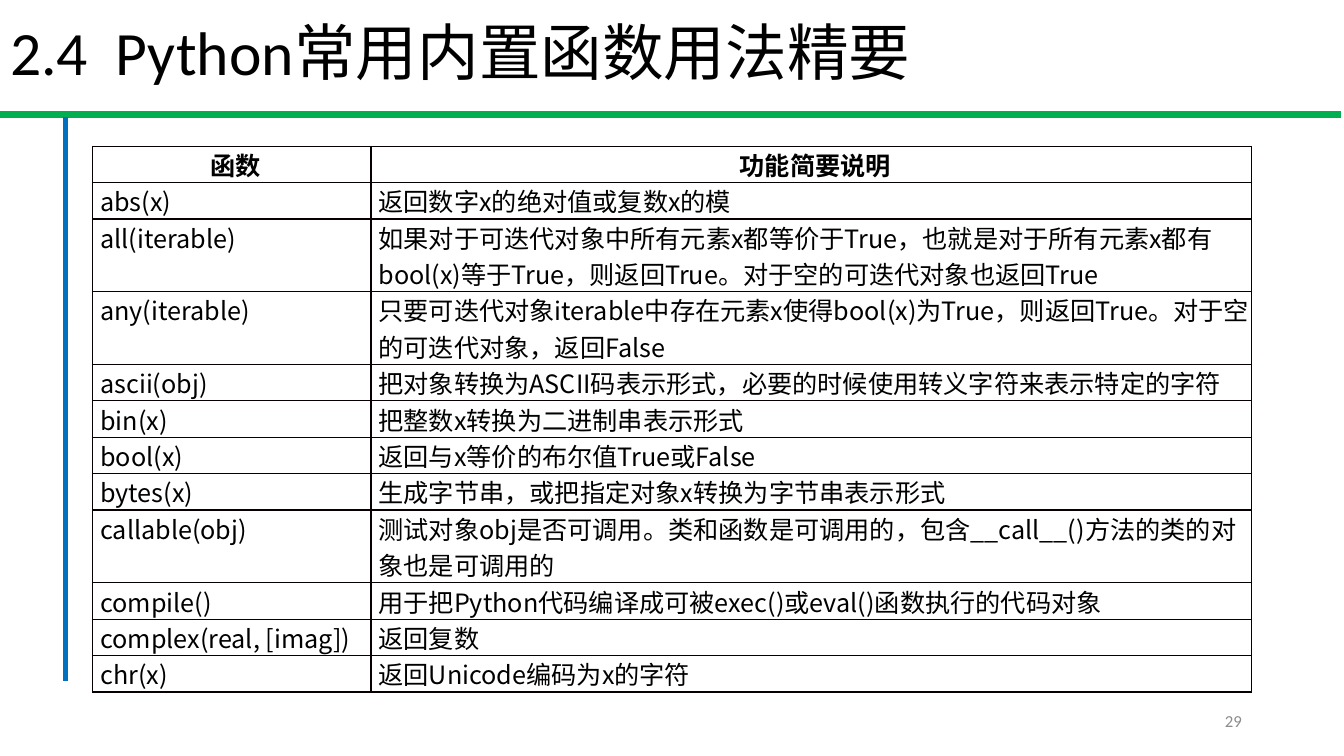
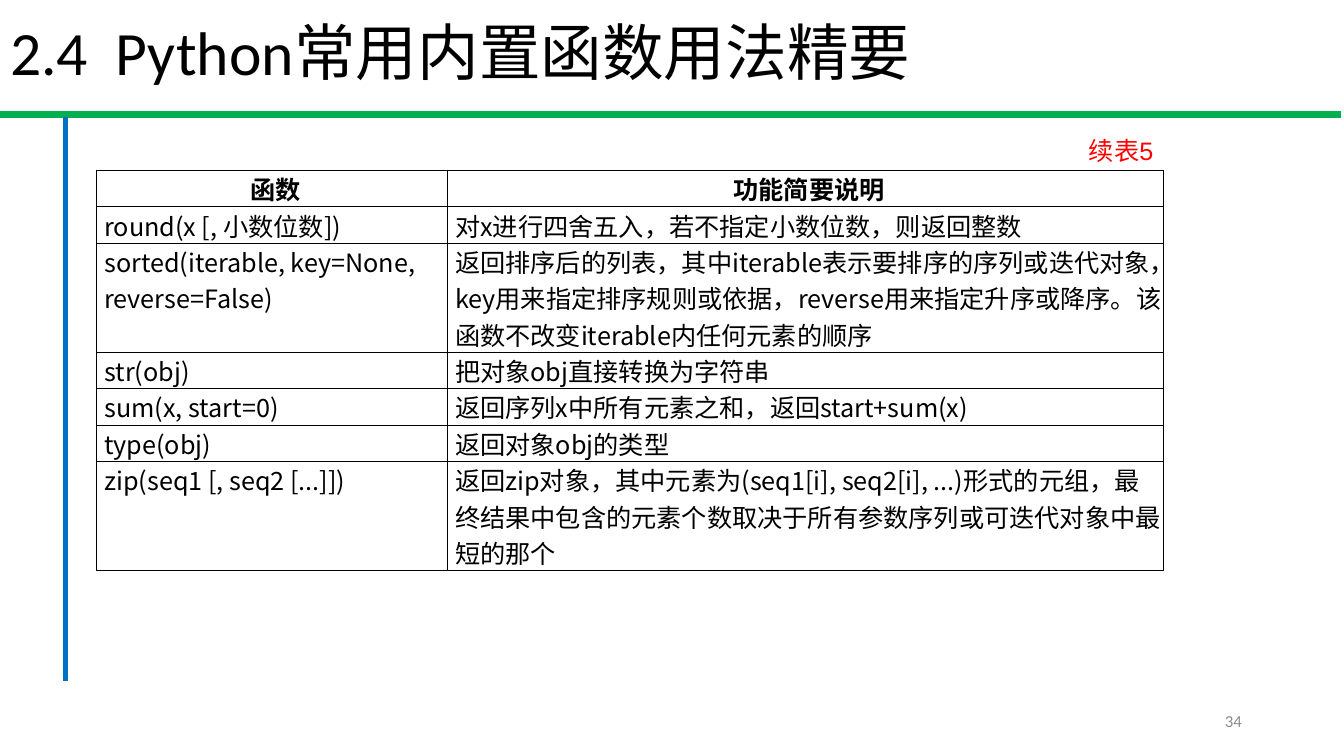
from dataclasses import dataclass
from typing import NamedTuple

from lxml.etree import SubElement
from pptx import Presentation
from pptx.dml.color import RGBColor as Rgb
from pptx.enum.shapes import MSO_CONNECTOR as Link
from pptx.enum.text import MSO_ANCHOR as Anchor, MSO_AUTO_SIZE as Fit, PP_ALIGN as Align
from pptx.oxml import parse_xml
from pptx.oxml.ns import nsdecls, qn
from pptx.util import Pt

# Shared look
COLORS = {
    "text": "000000",
    "band": "00B050",
    "rail": "0070C0",
    "page": "8C8C8C",
    "note": "FF0000",
    "grid": "080000",
}
HAN = "Noto Sans CJK SC"
TITLE = "2.4  Python常用内置函数用法精要"
HEADS = ("函数", "功能简要说明")
LINE = 26  # height of one line of table text


class Box(NamedTuple):
    left: float
    top: float
    width: float
    height: float


class Rule(NamedTuple):
    start: tuple[float, float]
    end: tuple[float, float]
    color: str
    weight: float


class Style(NamedTuple):
    font: str
    size: float
    color: str = "text"
    align: Align = Align.LEFT
    bold: bool = False


class Row(NamedTuple):
    name: str
    text: str
    lines: int = 1


@dataclass
class Page:
    number: int
    left: float
    top: float
    cols: tuple[float, float]
    rows: list[Row]
    note: str = ""


RULES = (
    Rule((0, 82), (957.6, 82), "band", 5.25),
    Rule((46.8, 83.5), (46.8, 486.7), "rail", 3.75),
)
HEAD = Style("Calibri", 44)
FOOT = Style("Calibri", 12, "page", Align.RIGHT)
NOTE = Style("Arial", 18, "note", Align.RIGHT)
BODY = Style(HAN, 18)
TOP = BODY._replace(align=Align.CENTER, bold=True)

# Page content
PAGES = [
    Page(29, 66.24, 104.4, (198.72, 629.28), [
        Row("abs(x)", "返回数字x的绝对值或复数x的模"),
        Row("all(iterable)", "如果对于可迭代对象中所有元素x都等价于True，也就是对于所有元素x"
            "都有bool(x)等于True，则返回True。对于空的可迭代对象也返回True", 2),
        Row("any(iterable)", "只要可迭代对象iterable中存在元素x使得bool(x)为True，"
            "则返回True。对于空的可迭代对象，返回False", 2),
        Row("ascii(obj)", "把对象转换为ASCII码表示形式，必要的时候使用转义字符来表示特定的字符"),
        Row("bin(x)", "把整数x转换为二进制串表示形式"),
        Row("bool(x)", "返回与x等价的布尔值True或False"),
        Row("bytes(x)", "生成字节串，或把指定对象x转换为字节串表示形式"),
        Row("callable(obj)", "测试对象obj是否可调用。类和函数是可调用的，"
            "包含__call__()方法的类的对象也是可调用的", 2),
        Row("compile()", "用于把Python代码编译成可被exec()或eval()函数执行的代码对象"),
        Row("complex(real, [imag])", "返回复数"),
        Row("chr(x)", "返回Unicode编码为x的字符"),
    ]),
    Page(34, 69.12, 121.7, (250.56, 511.2), [
        Row("round(x [, 小数位数])", "对x进行四舍五入，若不指定小数位数，则返回整数"),
        Row("sorted(iterable, key=None, reverse=False)",
            "返回排序后的列表，其中iterable表示要排序的序列或迭代对象，key用来指定排序规则或依据，"
            "reverse用来指定升序或降序。该函数不改变iterable内任何元素的顺序", 3),
        Row("str(obj)", "把对象obj直接转换为字符串"),
        Row("sum(x, start=0)", "返回序列x中所有元素之和，返回start+sum(x)"),
        Row("type(obj)", "返回对象obj的类型"),
        Row("zip(seq1 [, seq2 [...]])", "返回zip对象，其中元素为(seq1[i], seq2[i], ...)形式的元组，"
            "最终结果中包含的元素个数取决于所有参数序列或可迭代对象中最短的那个", 3),
    ], "续表5"),
]


def tint(name: str) -> Rgb:
    return Rgb.from_string(COLORS[name])


def write(frame, text: str, style: Style) -> None:
    para = frame.paragraphs[0]
    para.alignment = style.align
    run = para.add_run()
    run.text = text
    font = run.font
    font.name, font.size, font.bold = style.font, Pt(style.size), style.bold
    font.color.rgb = tint(style.color)
    # East Asian typeface follows the Latin one
    SubElement(font._element, qn("a:ea")).set("typeface", HAN)


def place(shape, box: Box) -> None:
    shape.left, shape.top, shape.width, shape.height = map(Pt, box)


def add_text(slide, box: Box, text: str, style: Style) -> None:
    frame = slide.shapes.add_textbox(*map(Pt, box)).text_frame
    frame.word_wrap = True
    frame.vertical_anchor = Anchor.MIDDLE
    write(frame, text, style)


def add_rule(slide, layout, rule: Rule) -> None:
    """Draw a line and hand it to the layout, so every slide shows it."""
    line = slide.shapes.add_connector(Link.STRAIGHT, *map(Pt, rule.start + rule.end))
    line.line.color.rgb = tint(rule.color)
    line.line.width = Pt(rule.weight)
    SubElement(line.element.spPr, qn("a:effectLst"))
    layout.shapes.element.append(line.element)


def edge(cell) -> None:
    props = cell._tc.get_or_add_tcPr()
    for spot, side in enumerate("LRTB"):
        props.insert(spot, parse_xml(
            f'<a:ln{side} {nsdecls("a")} w="{Pt(1)}"><a:solidFill>'
            f'<a:srgbClr val="{COLORS["grid"]}"/></a:solidFill></a:ln{side}>'))


def fill_cell(cell, text: str, style: Style) -> None:
    cell.margin_left = Pt(5.4)
    cell.margin_top = cell.margin_right = cell.margin_bottom = 0
    cell.fill.background()
    edge(cell)
    write(cell.text_frame, text, style)


def add_grid(slide, page: Page) -> None:
    rows = [Row(*HEADS), *page.rows]
    high = LINE * sum(row.lines for row in rows)
    box = Box(page.left, page.top, sum(page.cols), high)
    grid = slide.shapes.add_table(len(rows), len(page.cols), *map(Pt, box)).table
    grid.first_row = grid.horz_banding = False
    for col, width in zip(grid.columns, page.cols):
        col.width = Pt(width)
    for spot, row in enumerate(rows):
        grid.rows[spot].height = Pt(LINE * row.lines)
        style = BODY if spot else TOP
        fill_cell(grid.cell(spot, 0), row.name, style)
        fill_cell(grid.cell(spot, 1), row.text, style)


def add_page(deck, layout, page: Page):
    slide = deck.slides.add_slide(layout)
    # Title
    frame = slide.shapes.title.text_frame
    frame.auto_size = Fit.NONE
    frame.vertical_anchor = Anchor.MIDDLE
    write(frame, TITLE, HEAD)
    frame.paragraphs[0].line_spacing = 0.9
    # Page number, table and note
    add_text(slide, Box(678.24, 500.4, 216, 28.8), str(page.number), FOOT)
    add_grid(slide, page)
    if page.note:
        add_text(slide, Box(727.2, 92.9, 103.7, 28.8), page.note, NOTE)
    return slide


# Build the deck
deck = Presentation()
deck.slide_width, deck.slide_height = Pt(960), Pt(540)
layout = deck.slide_layouts.get_by_name("Title Only")
place(layout.placeholders[0], Box(0, 0, 957.6, 79.2))
slides = [add_page(deck, layout, page) for page in PAGES]
for rule in RULES:
    add_rule(slides[0], layout, rule)
deck.save("out.pptx")
